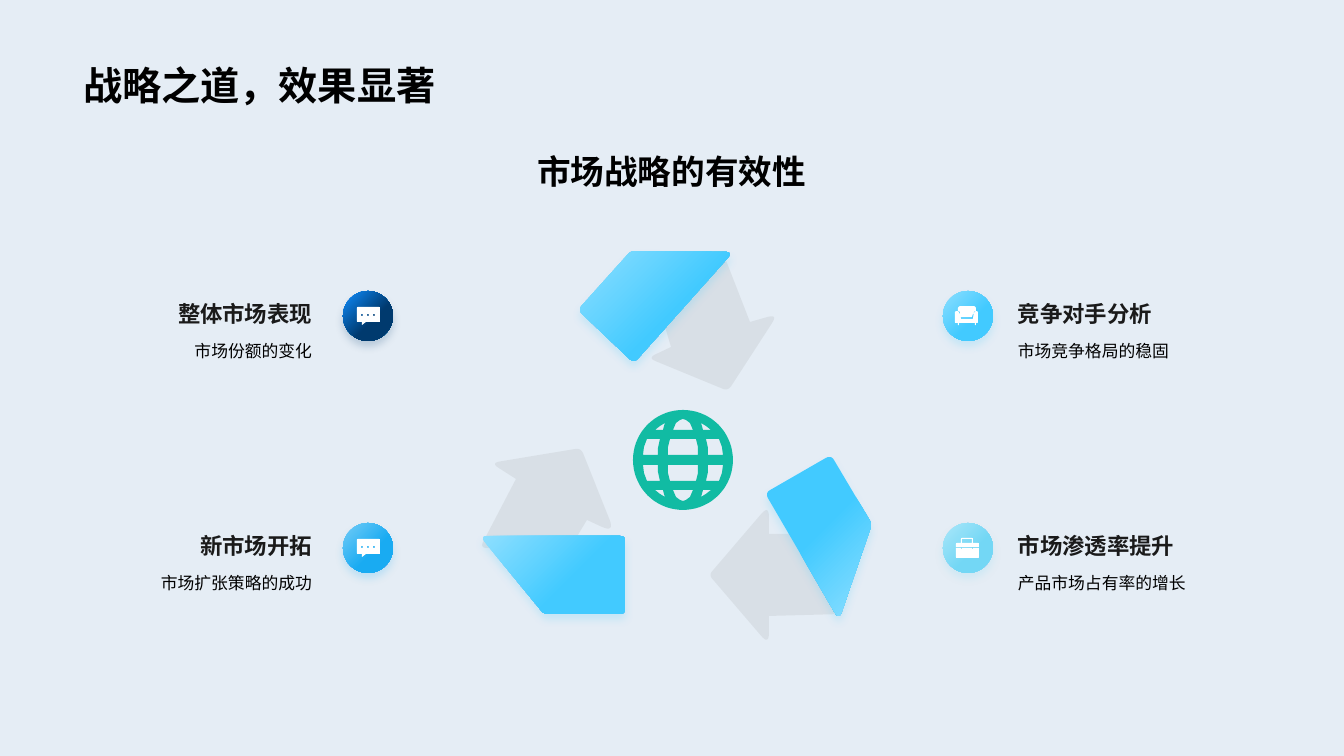
import math
import pptx
import pptx.util
import pptx.dml.color
import pptx.enum.shapes
import pptx.enum.text
import pptx.oxml.ns
from lxml import etree

PX = 914400 / 100.8
qn = pptx.oxml.ns.qn
ALIGN = pptx.enum.text.PP_ALIGN
ANCHOR = pptx.enum.text.MSO_ANCHOR

deck = pptx.Presentation()
deck.slide_width, deck.slide_height = round(1344 * PX), round(756 * PX)
slide = deck.slides.add_slide(deck.slide_layouts[5])
shapes = slide.shapes


def paint(shape, tint, fade=None, stops=(0, 60), glow=None, alpha=None):
    """Fill with one colour or a two-colour gradient; add a soft glow below."""
    color = pptx.dml.color.RGBColor.from_string
    shape.line.fill.background()
    shape.shadow.inherit = False
    if fade:
        shape.fill.gradient()
        shape.fill.gradient_angle = 315
        for stop, hue, spot in zip(shape.fill.gradient_stops, (tint, fade), stops):
            stop.color.rgb = color(hue)
            stop.position = spot / 100
    else:
        shape.fill.solid()
        shape.fill.fore_color.rgb = color(tint)
    if alpha:
        hue = shape._element.spPr.find(".//" + qn("a:srgbClr"))
        etree.SubElement(hue, qn("a:alpha")).set("val", str(alpha * 1000))
    if glow:
        effect = shape._element.spPr.find(qn("a:effectLst"))
        blur = etree.SubElement(effect, qn("a:outerShdw"), blurRad="76200",
                                dist="50800", dir="5400000", algn="t", rotWithShape="0")
        hue = etree.SubElement(blur, qn("a:srgbClr"), val=glow)
        etree.SubElement(hue, qn("a:alpha"), val="20000")


def draw(paths, left=0, top=0):
    """Build closed outlines from corners (x, y) or (x, y, rounding), in px."""
    pen = None
    for path in paths:
        dots = []
        for i, (x, y, *bend) in enumerate(path):
            if not bend:
                dots.append((x, y))
                continue
            ends = []
            for u, v, *_ in (path[i - 1], path[(i + 1) % len(path)]):
                part = bend[0] / math.hypot(u - x, v - y)
                ends.append((x + (u - x) * part, y + (v - y) * part))
            (ax, ay), (bx, by) = ends
            for t in (k / 8 for k in range(9)):
                a, m, b = (1 - t) ** 2, 2 * t * (1 - t), t * t
                dots.append((a * ax + m * x + b * bx, a * ay + m * y + b * by))
        dots = [((x + left) * 10, (y + top) * 10) for x, y in dots]
        if pen is None:
            pen = shapes.build_freeform(*dots[0], scale=PX / 10)
        else:
            pen.move_to(*dots[0])
        pen.add_line_segments(dots[1:], close=True)
    return pen.convert_to_shape()


# Background
back = slide.background.fill
back.solid()
back.fore_color.rgb = pptx.dml.color.RGBColor.from_string("E5EDF5")

# Globe: a disc with openings mirrored about its centre
globe = [[(50 * math.cos(math.radians(a)), 50 * math.sin(math.radians(a)))
          for a in range(0, 360, 5)]]
bands = [
    [(-15, 5), (15, 5), (15, 13), (13, 21), (-13, 21), (-15, 13)],
    [(-10, 30), (10, 30), (7, 37), (3, 40), (0, 41), (-3, 40), (-7, 37)],
]
sides = [
    [(25, 5), (40, 5), (39, 13), (36, 21), (23, 21), (25, 12)],
    [(18, 37), (23, 34), (28, 30), (20, 30), (19, 34)],
]
for sy in (-1, 1):
    globe += [[(x, y * sy) for x, y in hole] for hole in bands]
    for sx in (-1, 1):
        globe += [[(x * sx, y * sy) for x, y in hole] for hole in sides]
paint(draw(globe, 683, 460), "11BBA3")

# Cycle: a grey arrow and a blue fold for each of the three turns
SKY = ("8EDFFF", "42CAFF", (0, 60))
turns = [
    ([(615, 533, 15), (581, 448, 6), (491, 463, 9), (516, 479), (480, 548, 7),
      (570, 548, 4), (587, 520)],
     [(480, 536, 7), (544, 614, 4), (625, 614, 5), (625, 536, 5)], SKY),
    ([(778, 314, 11), (750, 322), (722, 250, 5), (661, 313, 3), (671, 347),
      (648, 358, 8), (728, 391, 6)],
     [(733, 252, 8), (631, 251, 4), (578, 310, 6), (634, 363, 6)], SKY),
    ([(846, 614, 9), (802, 534, 5), (769, 534), (769, 505, 12), (709, 575, 5),
      (769, 645, 12), (769, 616)],
     [(831, 455, 6), (765, 493, 6), (839, 620, 9), (872, 524, 5)],
     ("42CAFF", "8EDFFF", (48, 100))),
]
for arrow, fold, (tint, fade, stops) in turns:
    paint(draw([arrow]), "808080", alpha=12)
    paint(draw([fold]), tint, fade, stops, "42CAFF")

# Icons, drawn about the centre of their badge
chat = [[(-11, -9, 1), (12, -9, 1), (12, 6, 1), (-2, 6), (-6, 9), (-6, 6), (-11, 6, 1)]]
chat += [[(x - 1, -2, 1), (x + 1, -2, 1), (x + 1, 0, 1), (x - 1, 0, 1)] for x in (-6, 0, 6)]
sofa = [
    [(-10, -10, 3), (8, -10, 3), (8, -5), (5, -2), (4, 1), (-7, 1), (-8, -2), (-10, -5)],
    [(-13, -5, 2), (-8, -5, 2), (-7, 3), (5, 3), (6, -5, 2), (10, -5, 2), (10, 7, 1),
     (8, 7), (8, 9), (7, 9), (7, 7), (-9, 7), (-9, 9), (-10, 9), (-10, 7), (-13, 7, 1)],
]
case = [
    [(-12, -5, 1), (-7, -5), (-7, -10, 1), (5, -10, 1), (5, -5), (11, -5, 1),
     (11, -1), (-12, -1)],
    [(-6, -9), (4, -9), (4, -5), (-6, -5)],
    [(-12, 0), (-7, 0), (-7, 1), (-6, 1), (-6, 0), (4, 0), (4, 1), (5, 1), (5, 0),
     (11, 0), (11, 10, 1), (-12, 10, 1)],
]

# Four topics: badge, icon, heading and note
topics = [
    (968, 316, sofa, "8EDFFF", "42CAFF", "竞争对手分析", "市场竞争格局的稳固"),
    (968, 548, case, "ABE7F9", "73D7F5", "市场渗透率提升", "产品市场占有率的增长"),
    (368, 316, chat, "0F8EFF", "003A6E", "整体市场表现", "市场份额的变化"),
    (368, 548, chat, "75CDF7", "19ABF2", "新市场开拓", "市场扩张策略的成功"),
]
texts = []
for x, y, icon, tint, fade, head, note in topics:
    badge = shapes.add_shape(pptx.enum.shapes.MSO_SHAPE.OVAL, round((x - 25) * PX),
                             round((y - 25) * PX), round(50 * PX), round(50 * PX))
    paint(badge, tint, fade, glow=fade)
    paint(draw(icon, x, y), "FFFFFF")
    left, wide, align = (1008, 249, ALIGN.LEFT) if x > 672 else (106, 216, ALIGN.RIGHT)
    texts.append((note, left, y + 16, wide, 32, 12, "000000", align, ANCHOR.TOP))
    texts.append((head, left, y - 24, wide, 40, 16, "1A1A1A", align, ANCHOR.BOTTOM))

# All wording, with the title last
texts.append(("市场战略的有效性", 161, 134, 1021, 62, 24, "000000", ALIGN.CENTER, ANCHOR.BOTTOM))
texts.append(("战略之道，效果显著", 73, 0, 1198, 113, 28, "000000", ALIGN.LEFT, ANCHOR.BOTTOM))
for words, left, top, wide, high, size, tint, align, anchor in texts:
    box = shapes.title if size == 28 else shapes.add_textbox(0, 0, 0, 0)
    box.left, box.top = round(left * PX), round(top * PX)
    box.width, box.height = round(wide * PX), round(high * PX)
    frame = box.text_frame
    frame.text = words
    frame.word_wrap = True
    frame.auto_size = pptx.enum.text.MSO_AUTO_SIZE.NONE
    frame.vertical_anchor = anchor
    para = frame.paragraphs[0]
    para.alignment = align
    if size == 12:
        para.line_spacing = 1.2
    font = para.runs[0].font
    font.name = "Arial"
    font.size = pptx.util.Pt(size)
    font.bold = size > 12
    font.color.rgb = pptx.dml.color.RGBColor.from_string(tint)

deck.save("out.pptx")
